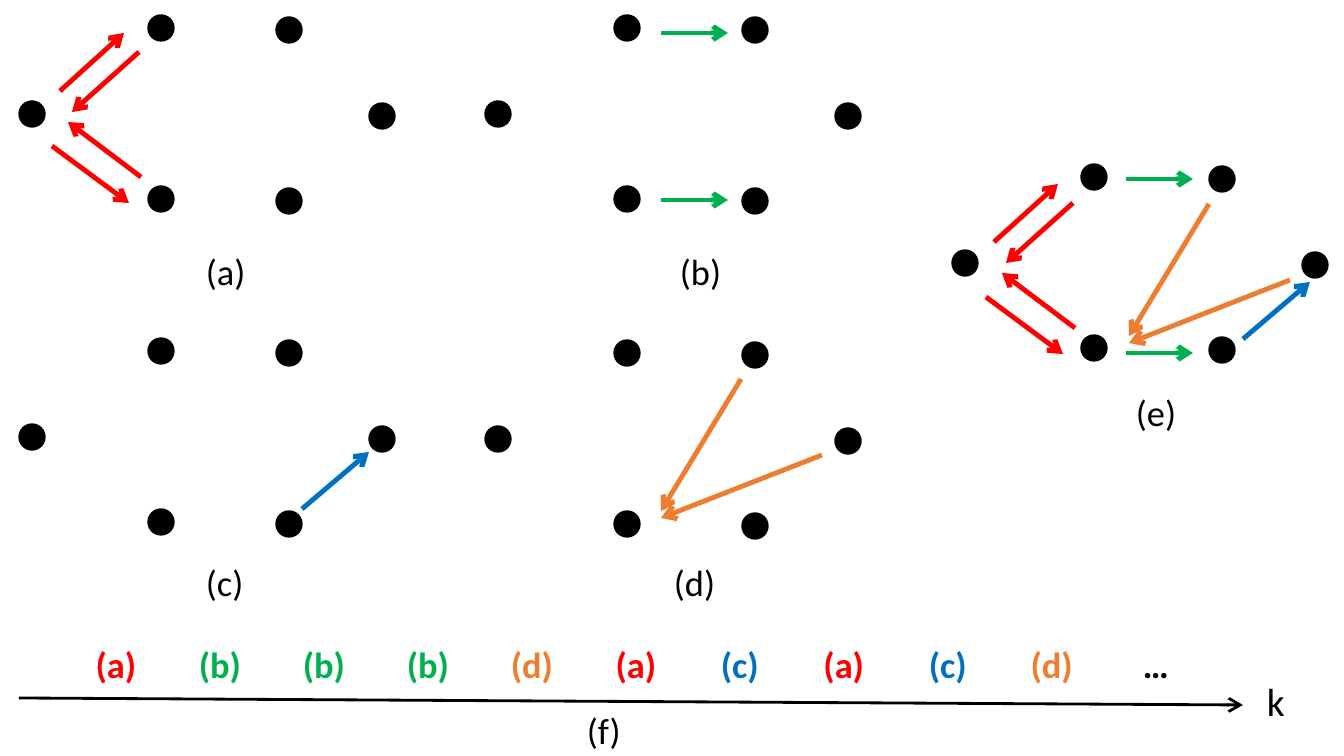
from typing import NamedTuple

from lxml import etree
from pptx import Presentation, util as u
from pptx.dml.color import RGBColor
from pptx.enum import shapes, text
from pptx.oxml import ns

PX = 914400 / 100.8
BLACK = RGBColor(0x00, 0x00, 0x00)
RED = RGBColor(0xFF, 0x00, 0x00)
GREEN = RGBColor(0x00, 0xB0, 0x50)
BLUE = RGBColor(0x00, 0x70, 0xC0)
ORANGE = RGBColor(0xED, 0x7D, 0x31)
FONT = "Calibri"
DOT = 26


class Arrow(NamedTuple):
    x1: int
    y1: int
    x2: int
    y2: int
    color: RGBColor
    width: float = 3.5
    head: str = "med"

    def shifted(self, dx: int, dy: int) -> "Arrow":
        return self._replace(x1=self.x1 + dx, y1=self.y1 + dy,
                             x2=self.x2 + dx, y2=self.y2 + dy)


class Label(NamedTuple):
    words: str
    x: int
    y: int
    w: int = 64
    h: int = 54
    size: int = 26


class Graph(NamedTuple):
    x: int
    y: int
    arrows: list[Arrow]
    label: Label


def shift_all(arrows: list[Arrow], dx: int, dy: int) -> list[Arrow]:
    return [arrow.shifted(dx, dy) for arrow in arrows]


NODES = [(129, 0), (0, 86), (129, 171), (257, 173), (350, 88), (257, 2)]
LEFT_PAIRS = [
    Arrow(41, 76, 105, 18, RED),
    Arrow(120, 37, 53, 97, RED),
    Arrow(122, 162, 49, 107, RED),
    Arrow(33, 131, 110, 188, RED),
]
TOP_EDGE = Arrow(176, 18, 243, 18, GREEN)
BOTTOM_EDGE = TOP_EDGE.shifted(0, 167)
RIGHT_EDGE = Arrow(283, 171, 350, 114, BLUE)
DIAGONALS = [Arrow(256, 39, 176, 171, ORANGE), Arrow(337, 115, 176, 178, ORANGE)]
UNION = [
    *shift_all(LEFT_PAIRS, 1, 2),
    TOP_EDGE.shifted(-2, -3),
    BOTTOM_EDGE.shifted(-2, 4),
    RIGHT_EDGE.shifted(8, 4),
    *shift_all(DIAGONALS, 1, 1),
]
GRAPHS = [
    Graph(19, 15, LEFT_PAIRS, Label("(a)", 196, 244)),
    Graph(485, 15, [TOP_EDGE, BOTTOM_EDGE], Label("(b)", 670, 244)),
    Graph(19, 338, [RIGHT_EDGE], Label("(c)", 196, 555)),
    Graph(485, 340, DIAGONALS, Label("(d)", 664, 555)),
    Graph(952, 164, UNION, Label("(e)", 1126, 385)),
]
STEP_COLORS = {"a": RED, "b": GREEN, "c": BLUE, "d": ORANGE}
STEPS = "abbbdacacd"
STEP_W, STEP_H = 104, 53

prs = Presentation()
prs.slide_width = u.Emu(round(1344 * PX))
prs.slide_height = u.Emu(round(756 * PX))
s = prs.slides.add_slide(prs.slide_layouts[6])


def emu(*lengths: int) -> list[u.Emu]:
    return [u.Emu(round(length * PX)) for length in lengths]


def add_run(p, words: str, size: int, color: RGBColor, bold: bool = False) -> None:
    r = p.add_run()
    r.text = words
    r.font.name = FONT
    r.font.size = u.Pt(size)
    r.font.bold = bold
    r.font.color.rgb = color


def draw_dot(x: int, y: int) -> None:
    sp = s.shapes.add_shape(shapes.MSO_SHAPE.OVAL, *emu(x, y, DOT, DOT))
    sp.shadow.inherit = False
    sp.fill.solid()
    sp.fill.fore_color.rgb = BLACK
    sp.line.color.rgb = BLACK
    sp.line.width = u.Pt(1)


def draw_arrow(arrow: Arrow) -> None:
    ends = emu(arrow.x1, arrow.y1, arrow.x2, arrow.y2)
    sp = s.shapes.add_connector(shapes.MSO_CONNECTOR.STRAIGHT, *ends)
    sp.line.color.rgb = arrow.color
    sp.line.width = u.Pt(arrow.width)
    props = sp.element.spPr
    etree.SubElement(props.find(ns.qn("a:ln")), ns.qn("a:tailEnd"),
                     type="arrow", w=arrow.head, len=arrow.head)
    etree.SubElement(props, ns.qn("a:effectLst"))


def draw_label(label: Label) -> None:
    sp = s.shapes.add_textbox(*emu(label.x, label.y, label.w, label.h))
    tf = sp.text_frame
    tf.word_wrap = False
    tf.auto_size = text.MSO_AUTO_SIZE.SHAPE_TO_FIT_TEXT
    add_run(tf.paragraphs[0], label.words, label.size, BLACK)


def draw_graph(graph: Graph) -> None:
    for x, y in NODES:
        draw_dot(graph.x + x, graph.y + y)
    for arrow in shift_all(graph.arrows, graph.x, graph.y):
        draw_arrow(arrow)
    draw_label(graph.label)


def draw_steps(x: int, y: int) -> None:
    entries = [(f"({step})", STEP_COLORS[step]) for step in STEPS] + [("…", BLACK)]
    count = len(entries)
    table = s.shapes.add_table(1, count, *emu(x, y, STEP_W * count, STEP_H)).table
    table.first_row = False
    table.horz_banding = False
    for column, (words, color) in enumerate(entries):
        table.columns[column].width = emu(STEP_W)[0]
        cell = table.cell(0, column)
        cell.fill.background()
        cell.vertical_anchor = text.MSO_ANCHOR.MIDDLE
        p = cell.text_frame.paragraphs[0]
        p.alignment = text.PP_ALIGN.CENTER
        add_run(p, words, 26, color, bold=True)


for graph in GRAPHS:
    draw_graph(graph)
draw_arrow(Arrow(19, 698, 1243, 705, BLACK, 2, "lg"))
draw_label(Label("k", 1257, 672, 40, 57, 28))
draw_steps(64, 639)
draw_label(Label("(f)", 577, 703, 56))

prs.save("out.pptx")
